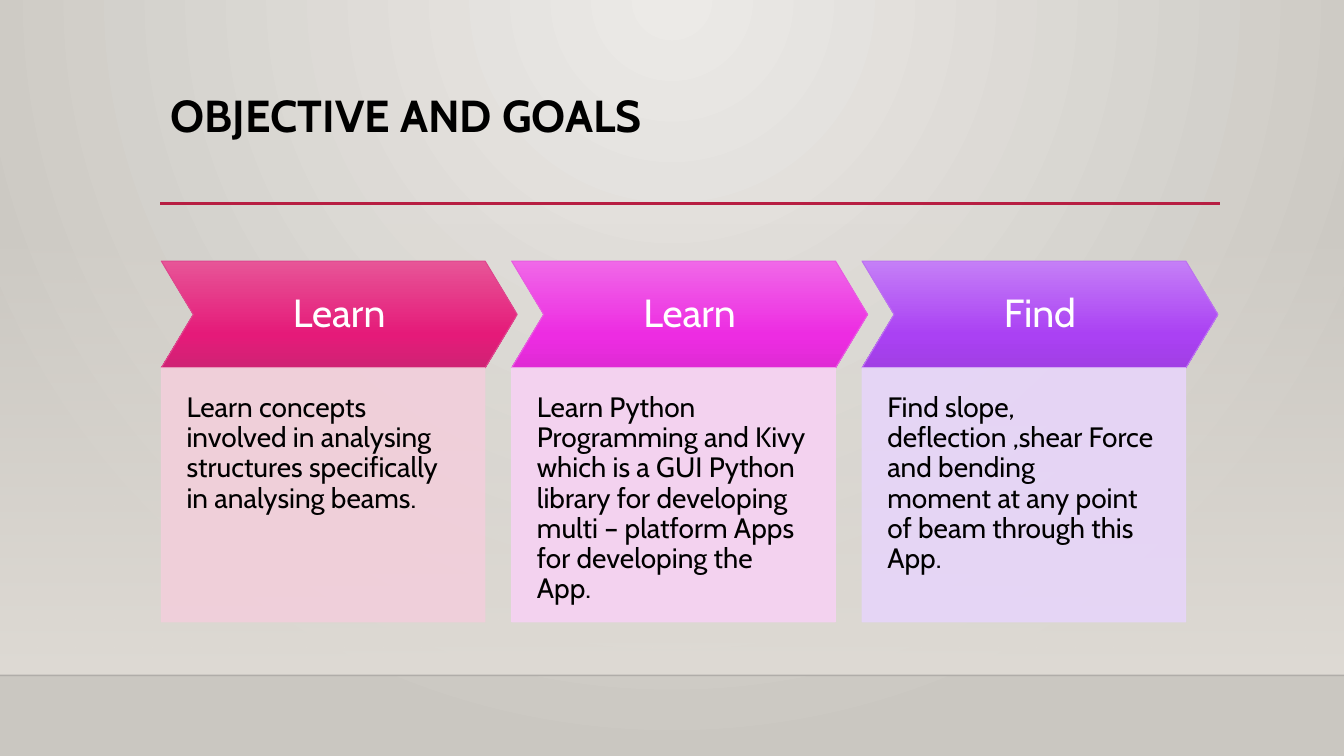
from lxml import etree
from pptx import Presentation
from pptx import util as u
from pptx.dml.color import RGBColor
from pptx.enum import shapes, text
from pptx.oxml.ns import qn

COLORS = {
    "glow": "ECEAE7", "edge": "CAC7C1", "wall": "DFDBD5", "floor": "000001",
    "rule": "B71E42", "ink": "000000", "white": "FFFFFF",
}
STEPS = [
    ("Learn", "Learn concepts involved in analysing structures specifically in analysing beams.",
     ("E75597", "E51A79", "CF2374"), "DE478E", "F2CFDB"),
    ("Learn", "Learn Python Programming and Kivy which is a GUI Python library for developing "
     "multi – platform Apps for developing the App.",
     ("F068E8", "ED2CE2", "E02BD5"), "E85CE0", "F6D2F3"),
    ("Find", "Find slope, deflection ,shear Force and bending moment\u00a0at any point of beam "
     "through this App.",
     ("C57FF7", "AA41F3", "A13FE5"), "BC72F0", "E7D5F9"),
]


class Painter:
    """Hold the slide and its style, and draw each kind of element."""

    font = "Cabin"

    def __init__(self, page):
        """Keep the slide to draw on."""
        self.page = page

    def fade(self, color, percent):
        """Set the opacity of a colour element."""
        etree.SubElement(color, qn("a:alpha")).set("val", str(percent * 1000))

    def gradient(self, fill, owner, stops, focus=None):
        """Fill downwards, or outwards from a focus, with (place, colour, opacity) stops."""
        fill.gradient()
        grad = next(owner.iter(qn("a:gradFill")))
        for child in list(grad):
            grad.remove(child)
        places = etree.SubElement(grad, qn("a:gsLst"))
        for place, color, opacity in stops:
            stop = etree.SubElement(places, qn("a:gs"), pos=str(place * 1000))
            tint = etree.SubElement(stop, qn("a:srgbClr"), val=color)
            if opacity < 100:
                self.fade(tint, opacity)
        if focus:
            route = etree.SubElement(grad, qn("a:path"), path="circle")
            sides = {side: str(share * 1000) for side, share in zip("ltrb", focus)}
            etree.SubElement(route, qn("a:fillToRect"), **sides)
        else:
            etree.SubElement(grad, qn("a:lin"), ang="5400000", scaled="0")

    def background(self, stops, focus):
        """Paint the slide background."""
        fill = self.page.background.fill
        self.gradient(fill, self.page.element, stops, focus)

    def outline(self, shape, color, width, opacity=100):
        """Style the line of a shape or connector."""
        shape.line.color.rgb = RGBColor.from_string(color)
        shape.line.width = u.Pt(width)
        if opacity < 100:
            edge = shape._element.spPr.find(qn("a:ln"))
            self.fade(next(edge.iter(qn("a:srgbClr"))), opacity)

    def shape(self, kind, left, top, width, height):
        """Add a preset shape without shadow or line."""
        shape = self.page.shapes.add_shape(
            kind, u.Inches(left), u.Inches(top), u.Inches(width), u.Inches(height))
        shape.shadow.inherit = False
        shape.line.fill.background()
        return shape

    def rule(self, left, right, top, color, width, opacity=100):
        """Add a horizontal line."""
        rule = self.page.shapes.add_connector(
            shapes.MSO_CONNECTOR.STRAIGHT,
            u.Inches(left), u.Inches(top), u.Inches(right), u.Inches(top))
        self.outline(rule, color, width, opacity)
        etree.SubElement(rule._element.spPr, qn("a:effectLst"))

    def label(self, box, words, size, color, insets, bold=False,
              align=text.PP_ALIGN.LEFT, anchor=text.MSO_ANCHOR.TOP):
        """Put one formatted paragraph in a shape."""
        frame = box.text_frame
        frame.text = words
        frame.word_wrap = True
        frame.auto_size = text.MSO_AUTO_SIZE.NONE
        frame.vertical_anchor = anchor
        frame.margin_left, frame.margin_top, frame.margin_right, frame.margin_bottom = (
            u.Inches(inset) for inset in insets)
        para = frame.paragraphs[0]
        para.alignment = align
        para.line_spacing = 0.9
        font = para.runs[0].font
        font.name, font.size, font.bold = self.font, u.Pt(size), bold
        font.color.rgb = RGBColor.from_string(color)

    def title(self, words, left, top, width, height):
        """Place and fill the title placeholder."""
        title = self.page.shapes.title
        title.left, title.top = u.Inches(left), u.Inches(top)
        title.width, title.height = u.Inches(width), u.Inches(height)
        self.label(title, words, 32, COLORS["ink"], (0.1, 0.05, 0.1, 0.05), bold=True)

    def wall(self, top, height):
        """Add the band that fades in down to the floor line."""
        wall = self.shape(shapes.MSO_SHAPE.RECTANGLE, 0, top, 13.33, height)
        self.gradient(wall.fill, wall._element.spPr,
                      [(0, COLORS["wall"], 0), (100, COLORS["wall"], 100)])

    def chevron(self, words, left, top, tones, edge):
        """Add a step heading."""
        chevron = self.shape(shapes.MSO_SHAPE.CHEVRON, left, top, 3.53, 1.06)
        chevron.adjustments[0] = 0.3
        stops = [(place, tone, 100) for place, tone in zip((0, 69, 100), tones)]
        self.gradient(chevron.fill, chevron._element.spPr, stops)
        self.outline(chevron, edge, 0.75)
        self.label(chevron, words, 28, COLORS["white"], (0.13,) * 4,
                   align=text.PP_ALIGN.CENTER, anchor=text.MSO_ANCHOR.MIDDLE)

    def panel(self, words, left, top, color):
        """Add a step description."""
        panel = self.shape(shapes.MSO_SHAPE.RECTANGLE, left, top, 3.21, 2.52)
        panel.fill.solid()
        panel.fill.fore_color.rgb = RGBColor.from_string(color)
        self.fade(next(panel._element.spPr.iter(qn("a:srgbClr"))), 90)
        self.outline(panel, color, 0.75, 90)
        self.label(panel, words, 20, COLORS["ink"], (0.25, 0.25, 0.25, 0.51))


deck = Presentation()
deck.slide_width, deck.slide_height = u.Inches(13.33), u.Inches(7.5)
painter = Painter(deck.slides.add_slide(deck.slide_layouts[5]))

painter.background([(0, COLORS["glow"], 100), (100, COLORS["edge"], 100)], (43, 0, 43, 100))
painter.wall(2.21, 4.49)
painter.rule(0, 13.33, 6.7, COLORS["floor"], 1, 20)
painter.rule(1.59, 12.1, 2.02, COLORS["rule"], 2.5)
painter.title("OBJECTIVE AND GOALS", 1.59, 0.88, 10.5, 1.15)

pitch = (8.55 - 1.6) / 2
for index, (heading, goal, tones, edge, tint) in enumerate(STEPS):
    left = 1.6 + index * pitch
    painter.chevron(heading, left, 2.59, tones, edge)
    painter.panel(goal, left, 3.65, tint)

deck.save("out.pptx")
